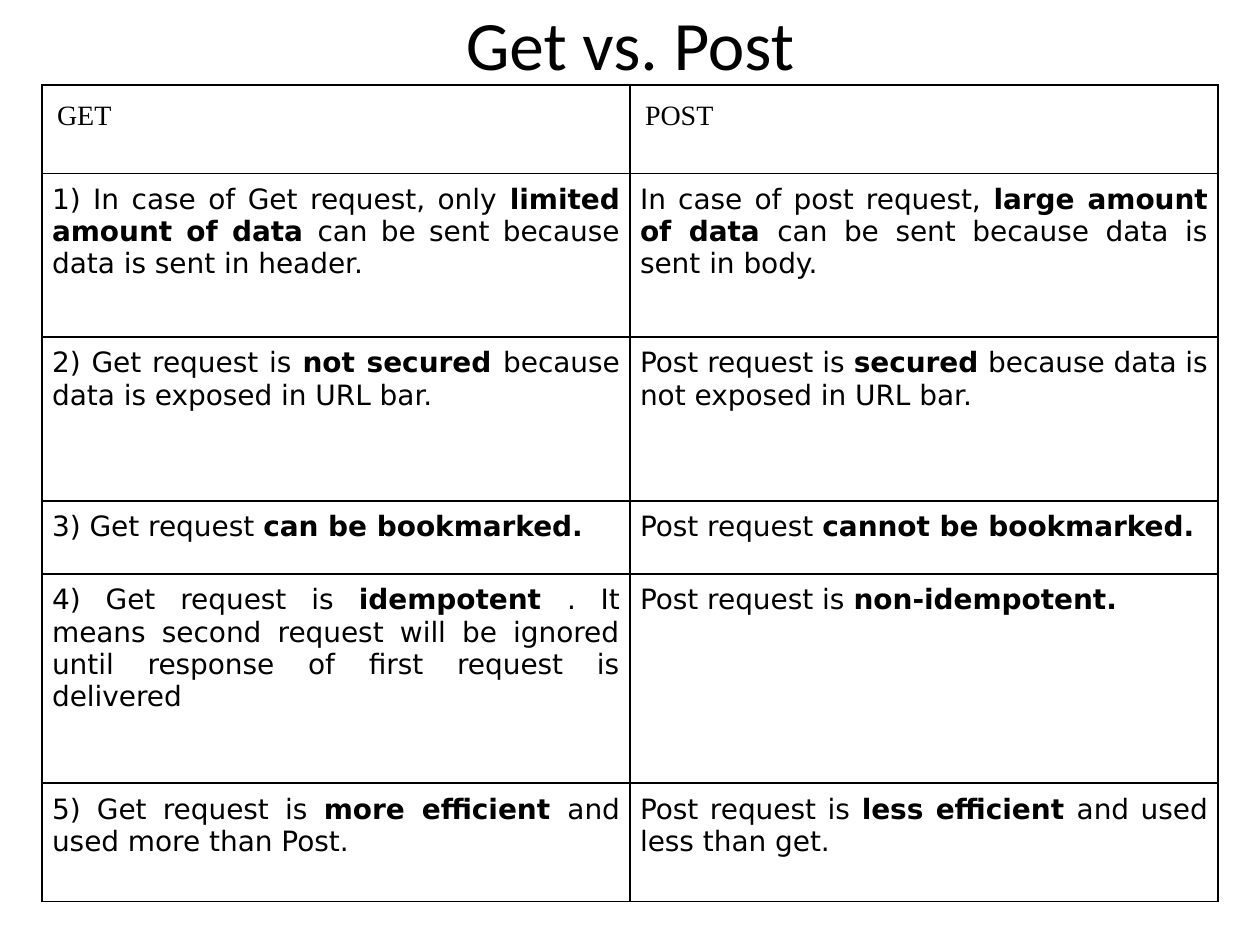
import dataclasses

import lxml.etree
import pptx
import pptx.dml.color
import pptx.enum.text
import pptx.oxml.ns
import pptx.util

ALIGN = pptx.enum.text.PP_ALIGN
ANCHOR = pptx.enum.text.MSO_ANCHOR


@dataclasses.dataclass(frozen=True)
class Theme:
    """Colours, typefaces and type sizes of the slide."""
    ink: str = "000000"
    title_font: str = "Calibri"
    header_font: str = "Times New Roman"
    body_font: str = "DejaVu Sans"
    title_size: float = 39.6
    table_size: float = 16
    rule_width: float = 1


THEME = Theme()
HEADINGS = ("GET", "POST")
COMPARISONS = (
    ("1) In case of Get request, only *limited amount of data *can be sent because data is sent in header.",
     "In case of post request, *large amount of data *can be sent because data is sent in body."),
    ("2) Get request is *not secured *because data is exposed in URL bar.",
     "Post request is *secured *because data is not exposed in URL bar."),
    ("3) Get request *can be bookmarked.*",
     "Post request *cannot be bookmarked.*"),
    ("4) Get request is *idempotent *. It means second request will be ignored "
     "until response of first request is delivered",
     "Post request is *non-idempotent.*"),
    ("5) Get request is *more efficient *and used more than Post.",
     "Post request is *less efficient *and used less than get."),
)
ROW_HEIGHTS = (0.7, 1.3, 1.3, 0.58, 1.66, 0.94)


def apply_format(target, values):
    """Set every attribute named in values on target."""
    for name, value in values.items():
        setattr(target, name, value)


def write_runs(paragraph, marked_text, font, size):
    """Write text into a paragraph, with bold between asterisks."""
    for index, phrase in enumerate(marked_text.split("*")):
        if phrase:
            run = paragraph.add_run()
            run.text = phrase
            apply_format(run.font, {"name": font, "size": pptx.util.Pt(size), "bold": index % 2 == 1})
            run.font.color.rgb = pptx.dml.color.RGBColor.from_string(THEME.ink)


def rule_cell(cell):
    """Draw the four borders of a table cell."""
    properties = cell._tc.get_or_add_tcPr()
    for side in ("a:lnL", "a:lnR", "a:lnT", "a:lnB"):
        border = lxml.etree.SubElement(properties, pptx.oxml.ns.qn(side),
                                       w=str(pptx.util.Pt(THEME.rule_width)))
        fill = lxml.etree.SubElement(border, pptx.oxml.ns.qn("a:solidFill"))
        lxml.etree.SubElement(fill, pptx.oxml.ns.qn("a:srgbClr"), val=THEME.ink)


def fill_cell(cell, marked_text, font, inset, alignment):
    """Format one table cell and write its text."""
    rule_cell(cell)
    cell.fill.background()
    sides = ("margin_left", "margin_right", "margin_top", "margin_bottom")
    apply_format(cell, dict.fromkeys(sides, pptx.util.Inches(inset)))
    cell.vertical_anchor = ANCHOR.TOP
    paragraph = cell.text_frame.paragraphs[0]
    paragraph.alignment = alignment
    write_runs(paragraph, marked_text, font, THEME.table_size)


def add_title(slide, width, height):
    """Add the centred heading above the table."""
    heading = slide.shapes.add_textbox(int(width * 0.05), 0, int(width * 0.9), int(height * 0.09))
    apply_format(heading.text_frame, {
        "word_wrap": True, "vertical_anchor": ANCHOR.MIDDLE, "margin_top": 0, "margin_bottom": 0})
    paragraph = heading.text_frame.paragraphs[0]
    paragraph.alignment = ALIGN.CENTER
    write_runs(paragraph, "Get vs. Post", THEME.title_font, THEME.title_size)


def add_comparison(slide, width, height):
    """Add the table that sets GET beside POST."""
    left = width // 30
    comparison = slide.shapes.add_table(
        len(ROW_HEIGHTS), len(HEADINGS), left, int(height * 0.09),
        width - 2 * left, pptx.util.Inches(sum(ROW_HEIGHTS))).table
    apply_format(comparison, {"first_row": False, "horz_banding": False})
    for row, row_height in zip(comparison.rows, ROW_HEIGHTS):
        row.height = pptx.util.Inches(row_height)
    for column, heading in enumerate(HEADINGS):
        fill_cell(comparison.cell(0, column), heading, THEME.header_font, 0.12, ALIGN.LEFT)
    for row_number, statements in enumerate(COMPARISONS, start=1):
        for column, statement in enumerate(statements):
            fill_cell(comparison.cell(row_number, column), statement,
                      THEME.body_font, 0.08, ALIGN.JUSTIFY)


def main():
    """Build and save the slide."""
    deck = pptx.Presentation()
    apply_format(deck, {"slide_width": pptx.util.Inches(10), "slide_height": pptx.util.Inches(7.5)})
    slide = deck.slides.add_slide(deck.slide_layouts[6])
    add_title(slide, deck.slide_width, deck.slide_height)
    add_comparison(slide, deck.slide_width, deck.slide_height)
    deck.save("out.pptx")


if __name__ == "__main__":
    main()
